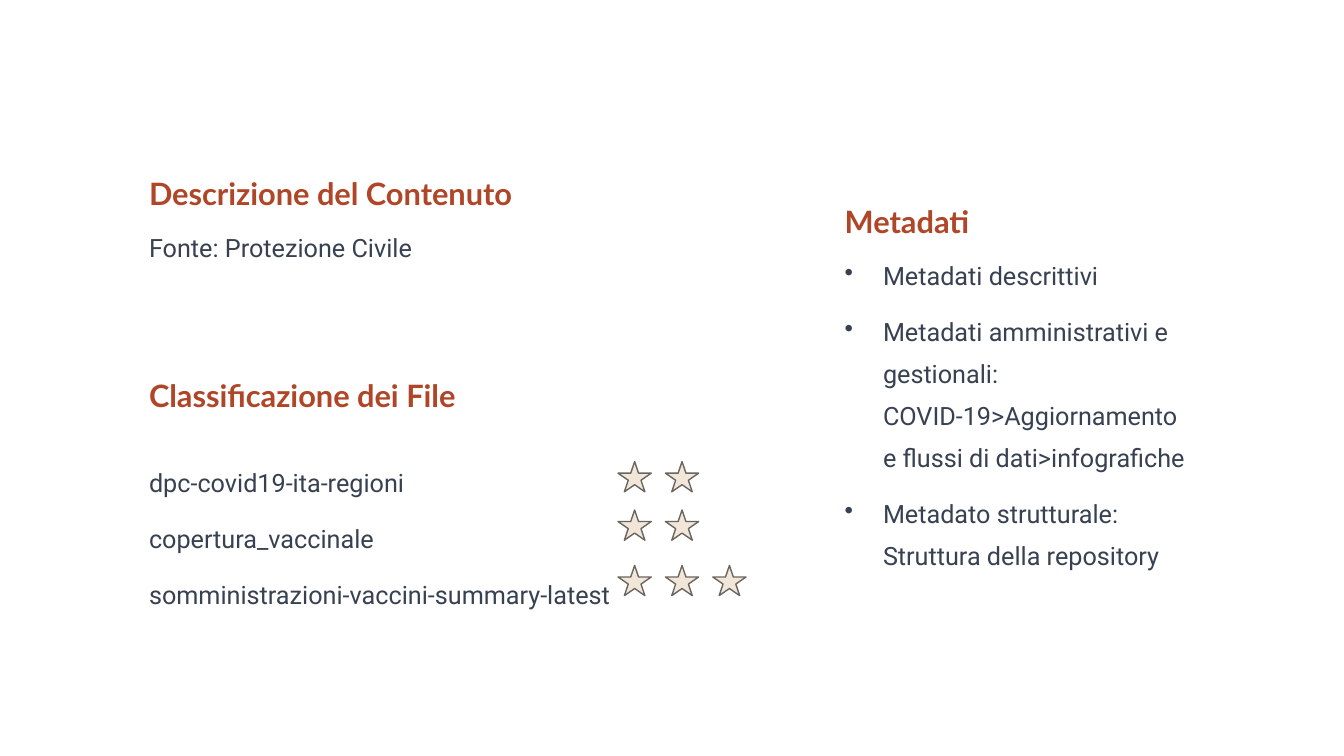
from pptx import Presentation
from pptx.dml.color import RGBColor
from pptx.enum.shapes import MSO_SHAPE
from pptx.enum.text import MSO_ANCHOR, PP_ALIGN
from pptx.oxml.xmlchemy import OxmlElement
from pptx.util import Inches, Pt

COLORS = {"heading": "AF4627", "body": "374151", "star": "F2E6D8", "outline": "6A655F"}
HEADING = {"size": 22, "font": "Lato", "color": "heading", "bold": True, "leading": 22}
BODY = {"size": 18, "font": "Roboto", "color": "body", "leading": 30}
LEFT, RIGHT = 1.38, 8.28
STAR_LEFT, STAR_W, STAR_H, STAR_PITCH = 6.13, 0.33, 0.3, 0.47

FILES = [  # name, stars, top of its stars
    ("dpc-covid19-ita-regioni", 2, 4.58),
    ("copertura_vaccinale", 2, 5.06),
    ("somministrazioni-vaccini-summary-latest", 3, 5.61),
]
METADATA = [
    "Metadati descrittivi",
    "Metadati amministrativi e gestionali: COVID-19>Aggiornamento e flussi di dati>infografiche",
    "Metadato strutturale: Struttura della repository",
]


def rgb(name):
    return RGBColor.from_string(COLORS[name])


def add_bullet(p, indent=0.38):
    pPr = p._p.get_or_add_pPr()
    pPr.set("marL", str(Inches(indent)))
    pPr.set("indent", str(-Inches(indent)))
    bullet = OxmlElement("a:buChar")
    bullet.set("char", "•")
    pPr.append(bullet)


def add_text(s, lines, box, size, font, color, leading, bold=False, bullets=False):
    tf = s.shapes.add_textbox(*map(Inches, box)).text_frame
    tf.word_wrap = True
    tf.vertical_anchor = MSO_ANCHOR.TOP
    for i, line in enumerate(lines):
        p = tf.paragraphs[0] if i == 0 else tf.add_paragraph()
        if bullets:
            add_bullet(p)
        p.alignment = PP_ALIGN.LEFT
        p.line_spacing = Pt(leading)
        p.space_before = Pt(10 if i else 0)
        r = p.add_run()
        r.text = line
        r.font.size, r.font.name, r.font.bold = Pt(size), font, bold
        r.font.color.rgb = rgb(color)


def add_section(s, heading, lines, box, gap, bullets=False):
    """Place a heading at the top of the box and its lines after the gap."""
    x, y, w, h = box
    add_text(s, [heading], (x, y, w, 0.4), **HEADING)
    add_text(s, lines, (x, y + gap, w, h - gap), bullets=bullets, **BODY)


def add_rating(s, count, x, y):
    for i in range(count):
        star = s.shapes.add_shape(MSO_SHAPE.STAR_5_POINT, Inches(x + i * STAR_PITCH),
                                  Inches(y), Inches(STAR_W), Inches(STAR_H))
        star.shadow.inherit = False
        star.fill.solid()
        star.fill.fore_color.rgb = rgb("star")
        star.line.color.rgb = rgb("outline")
        star.line.width = Pt(1)


def add_files(s, box):
    add_section(s, "Classificazione dei File", [name for name, _, _ in FILES], box, 0.72)
    for _, stars, top in FILES:
        add_rating(s, stars, STAR_LEFT, top)


def main():
    prs = Presentation()
    prs.slide_width, prs.slide_height = Inches(13.33), Inches(7.5)
    s = prs.slides.add_slide(prs.slide_layouts[6])
    add_section(s, "Descrizione del Contenuto", ["Fonte: Protezione Civile"],
                (LEFT, 1.75, 4.5, 0.87), 0.39)
    add_files(s, (LEFT, 3.75, 5.39, 2.37))
    add_section(s, "Metadati", METADATA, (RIGHT, 2.02, 3.57, 3.73), 0.4, bullets=True)
    prs.save("out.pptx")


if __name__ == "__main__":
    main()
